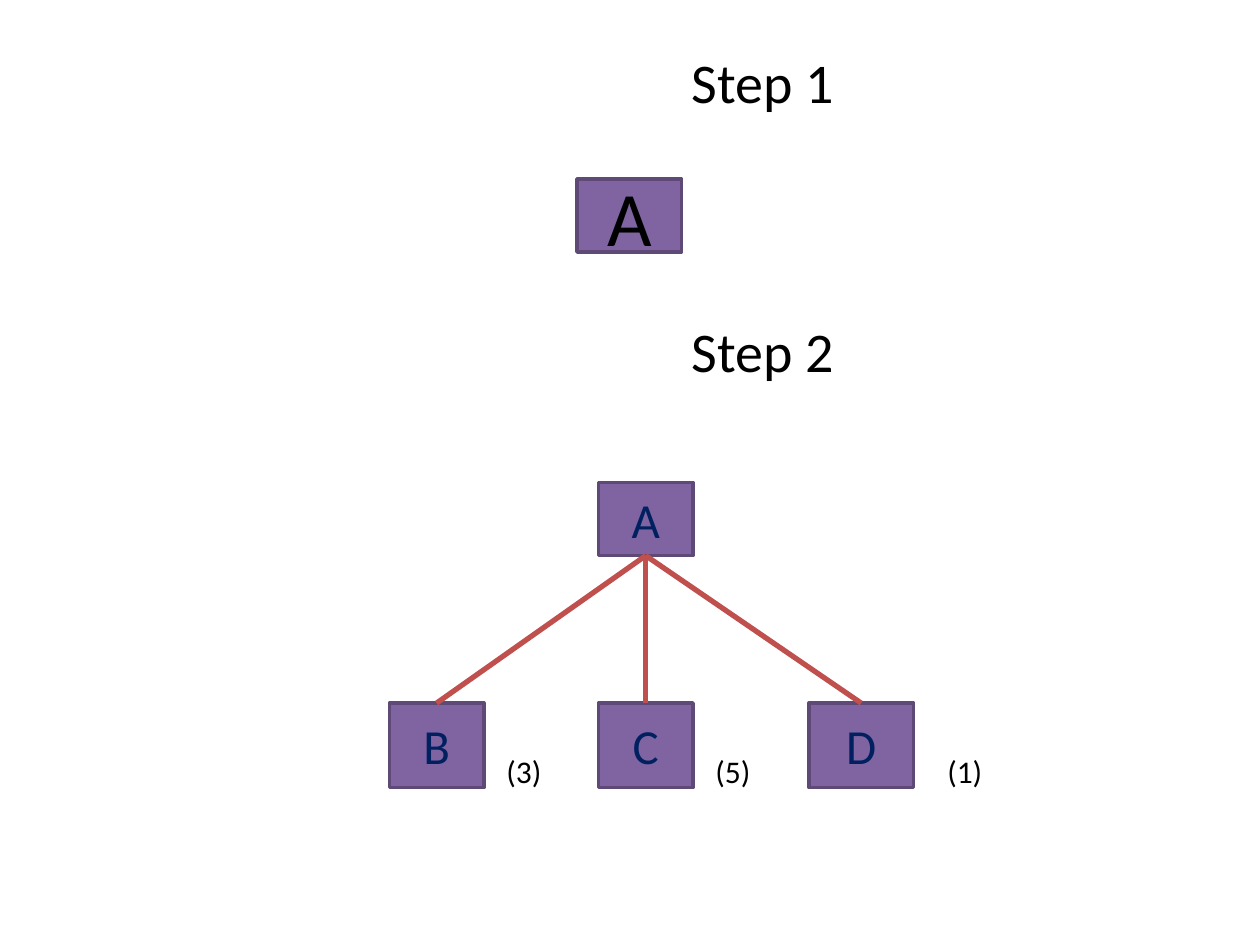
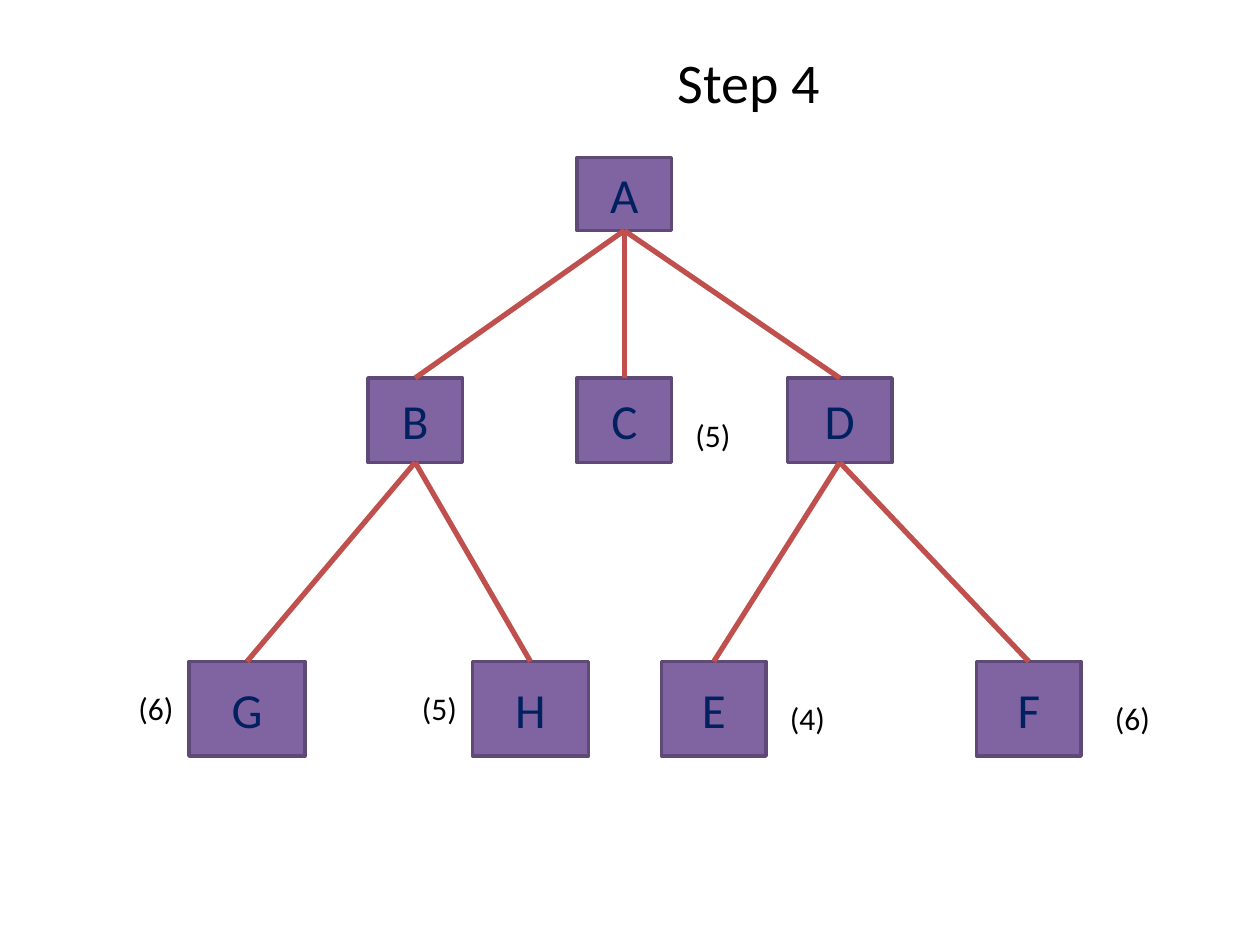
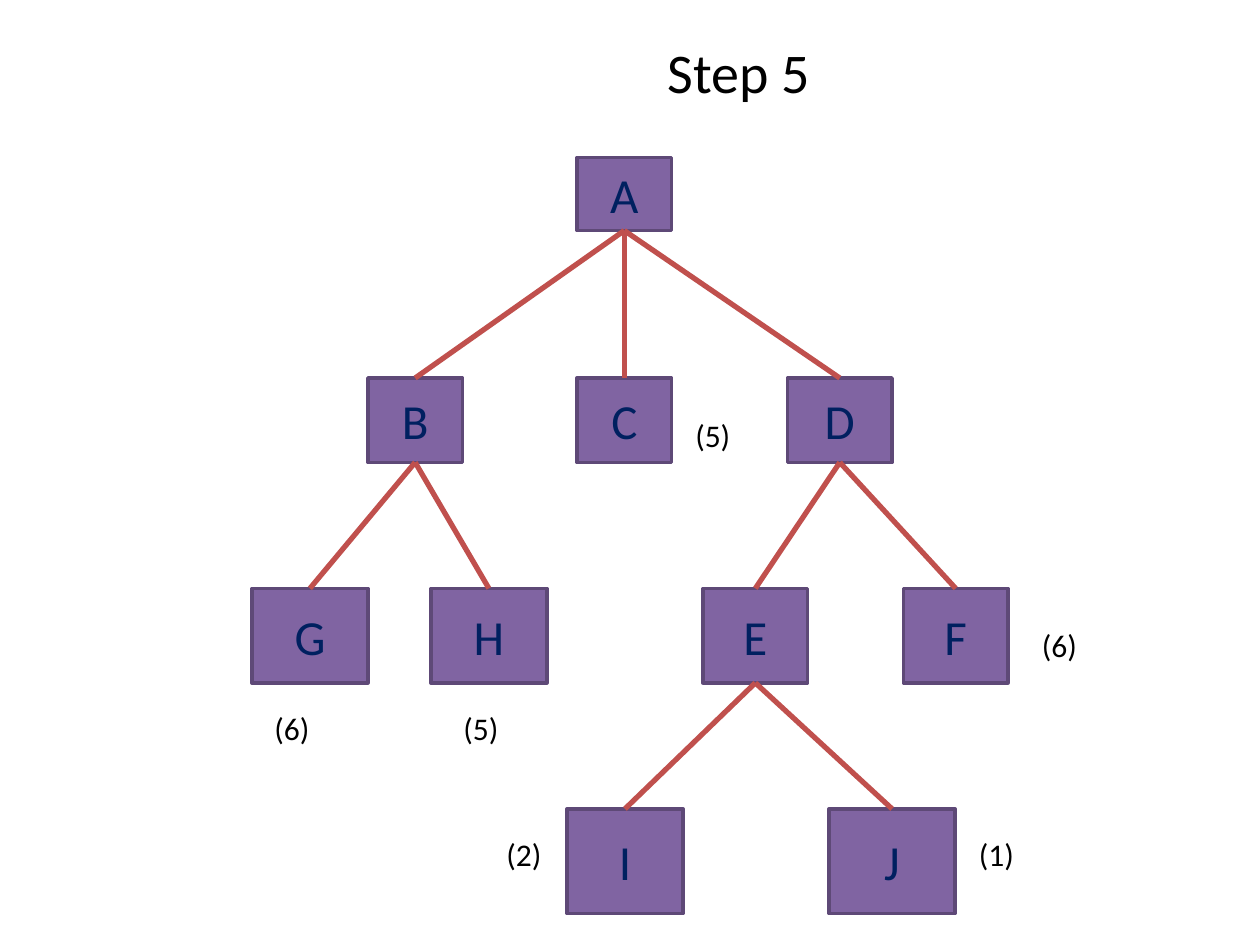
from dataclasses import dataclass, replace

from lxml import etree
from pptx import Presentation
from pptx.dml.color import RGBColor
from pptx.enum.shapes import MSO_CONNECTOR, MSO_SHAPE
from pptx.enum.text import MSO_ANCHOR, PP_ALIGN
from pptx.oxml.ns import qn
from pptx.util import Inches, Pt

PROCESS = MSO_SHAPE.FLOWCHART_PROCESS
STRAIGHT = MSO_CONNECTOR.STRAIGHT
MIDDLE = MSO_ANCHOR.MIDDLE
CENTER = PP_ALIGN.CENTER

FONT = "Calibri"
COLORS = {
    "box": "8064A2",
    "outline": "5E4977",
    "edge": "C0504D",
    "letter": "002060",
    "text": "000000",
}
TOP_SITE, BOTTOM_SITE = 0, 2  # connection sites of a process box


@dataclass(frozen=True)
class Node:
    name: str
    left: float
    top: float
    width: float
    height: float
    parent: str = ""
    size: int = 28
    color: str = "letter"


@dataclass(frozen=True)
class Cost:
    value: int
    left: float
    top: float
    width: float = 0.58
    height: float = 0.4


@dataclass(frozen=True)
class Heading:
    steps: tuple[int, ...]
    left: float
    top: float
    height: float
    indent: float


@dataclass(frozen=True)
class Page:
    heading: Heading
    nodes: list[Node]
    costs: list[Cost]


def rgb(name: str) -> RGBColor:
    return RGBColor.from_string(COLORS[name])


def format_text(p, size: int, color: str) -> None:
    for r in p.runs:
        r.font.name = FONT
        r.font.size = Pt(size)
        r.font.color.rgb = rgb(color)


def add_heading(s, heading: Heading) -> None:
    """Write the step titles, indented to the right half of the slide."""
    tb = s.shapes.add_textbox(Inches(heading.left), Inches(heading.top),
                              Inches(9), Inches(heading.height))
    tf = tb.text_frame
    tf.word_wrap = True
    for i, step in enumerate(heading.steps):
        p = tf.add_paragraph() if i else tf.paragraphs[0]
        p.text = f"Step {step}"
        p._p.get_or_add_pPr().set("marL", str(Inches(heading.indent)))
        if i:
            p.space_before = Pt(115)
        format_text(p, 32, "text")


def add_node(s, node: Node):
    sp = s.shapes.add_shape(PROCESS, Inches(node.left), Inches(node.top),
                            Inches(node.width), Inches(node.height))
    sp.shadow.inherit = False
    sp.fill.solid()
    sp.fill.fore_color.rgb = rgb("box")
    sp.line.color.rgb = rgb("outline")
    sp.line.width = Pt(2)
    tf = sp.text_frame
    tf.text = node.name
    tf.vertical_anchor = MIDDLE
    p = tf.paragraphs[0]
    p.alignment = CENTER
    format_text(p, node.size, node.color)
    return sp


def add_edge(s, parent, child) -> None:
    line = s.shapes.add_connector(STRAIGHT, 0, 0, 0, 0)
    line.begin_connect(parent, BOTTOM_SITE)
    line.end_connect(child, TOP_SITE)
    line.line.color.rgb = rgb("edge")
    line.line.width = Pt(3)
    etree.SubElement(line._element.spPr, qn("a:effectLst"))


def add_cost(s, cost: Cost) -> None:
    tb = s.shapes.add_textbox(Inches(cost.left), Inches(cost.top),
                              Inches(cost.width), Inches(cost.height))
    tf = tb.text_frame
    tf.word_wrap = True
    tf.text = f"({cost.value})"
    format_text(tf.paragraphs[0], 18, "text")


def add_page(prs, page: Page) -> None:
    s = prs.slides.add_slide(prs.slide_layouts[6])
    add_heading(s, page.heading)
    boxes = {}
    for node in page.nodes:
        boxes[node.name] = add_node(s, node)
    for node in page.nodes:
        if node.parent:
            add_edge(s, boxes[node.parent], boxes[node.name])
    for cost in page.costs:
        add_cost(s, cost)


def shifted(nodes: list[Node], dx: float, dy: float) -> list[Node]:
    return [replace(n, left=n.left + dx, top=n.top + dy) for n in nodes]


def third_level(top: float, lefts: dict[str, float]) -> list[Node]:
    """Place G and H under B, and E and F under D."""
    return [Node(name, left, top, 0.92 if name in "GH" else 0.83, 0.75,
                 "B" if name in "GH" else "D")
            for name, left in lefts.items()]


TOP_TREE = [
    Node("A", 4.58, 1.25, 0.75, 0.58),
    Node("B", 2.92, 3, 0.75, 0.67, "A"),
    Node("C", 4.58, 3, 0.75, 0.67, "A"),
    Node("D", 6.25, 3, 0.83, 0.67, "A"),
]

START = Node("A", 4.58, 1.42, 0.83, 0.58, size=44, color="text")

PAGES = [
    Page(
        Heading((1, 2), 0.5, 0.33, 6.37, 4.89),
        [START] + shifted(TOP_TREE, 0.17, 2.58),
        [Cost(5, 5.58, 5.92, 0.5, 0.7), Cost(1, 7.42, 5.92, 0.5, 0.7),
         Cost(3, 3.92, 5.92)],
    ),
    Page(
        Heading((4,), 0.5, 0.33, 6.37, 4.78),
        TOP_TREE + third_level(5.25, {"E": 5.25, "F": 7.75, "G": 1.5, "H": 3.75}),
        [Cost(5, 5.42, 3.25), Cost(6, 1, 5.42, 0.5, 0.7),
         Cost(5, 3.25, 5.42, 0.5, 0.7), Cost(4, 6.17, 5.5), Cost(6, 8.75, 5.5)],
    ),
    Page(
        Heading((5,), 0.42, 0.25, 7.08, 4.78),
        TOP_TREE
        + third_level(4.67, {"E": 5.58, "F": 7.17, "G": 2, "H": 3.42})
        + [Node("I", 4.5, 6.42, 0.92, 0.83, "E"),
           Node("J", 6.58, 6.42, 1, 0.83, "E")],
        [Cost(5, 5.42, 3.25, 0.5, 0.7), Cost(6, 2.08, 5.58, 0.67),
         Cost(5, 3.58, 5.58, 0.67), Cost(6, 8.17, 4.92, 0.75),
         Cost(2, 3.92, 6.58), Cost(1, 7.67, 6.58, 0.75)],
    ),
]


def main() -> None:
    prs = Presentation()
    prs.slide_width = Inches(10)
    prs.slide_height = Inches(7.5)
    for page in PAGES:
        add_page(prs, page)
    prs.save("out.pptx")


if __name__ == "__main__":
    main()
